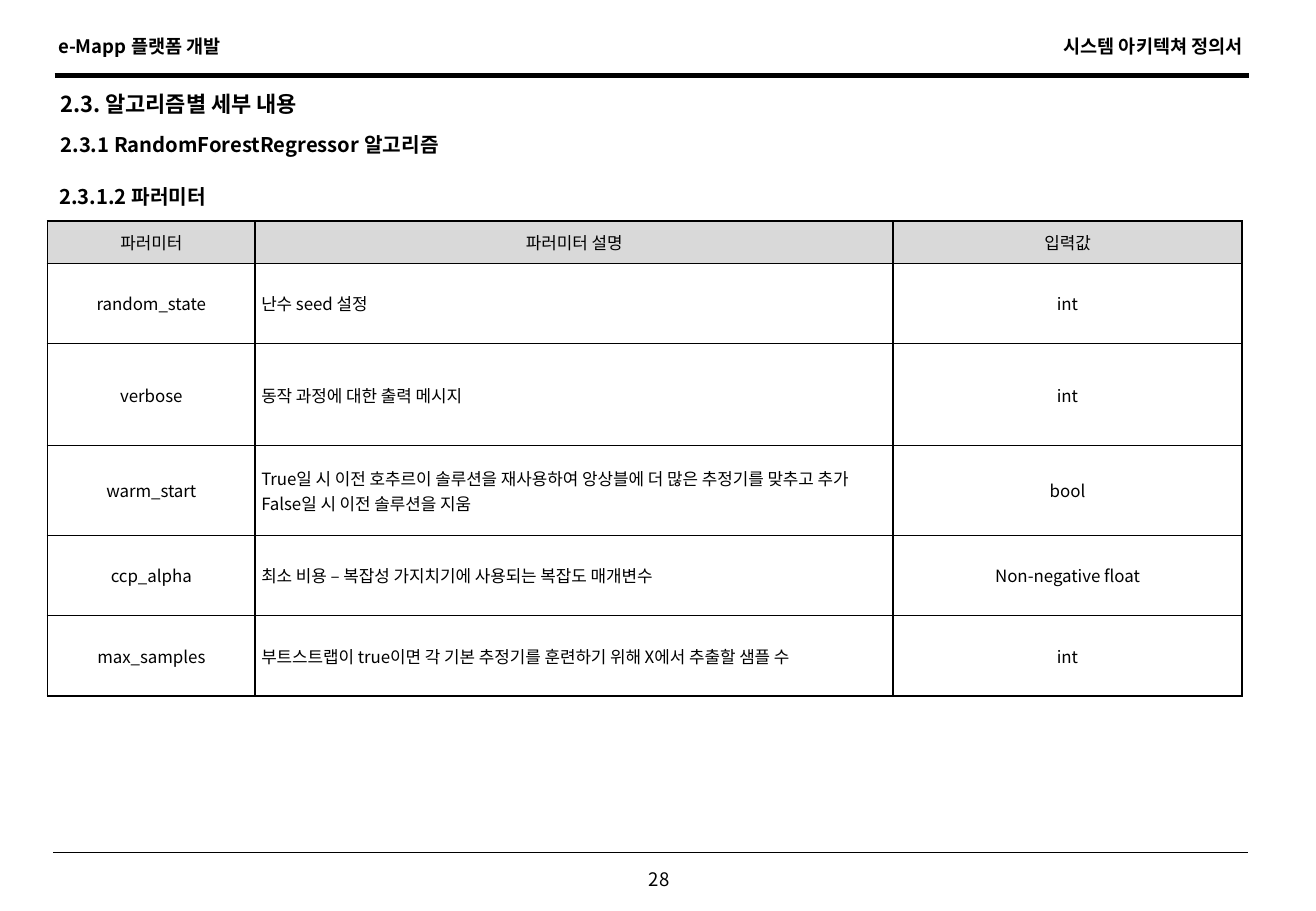
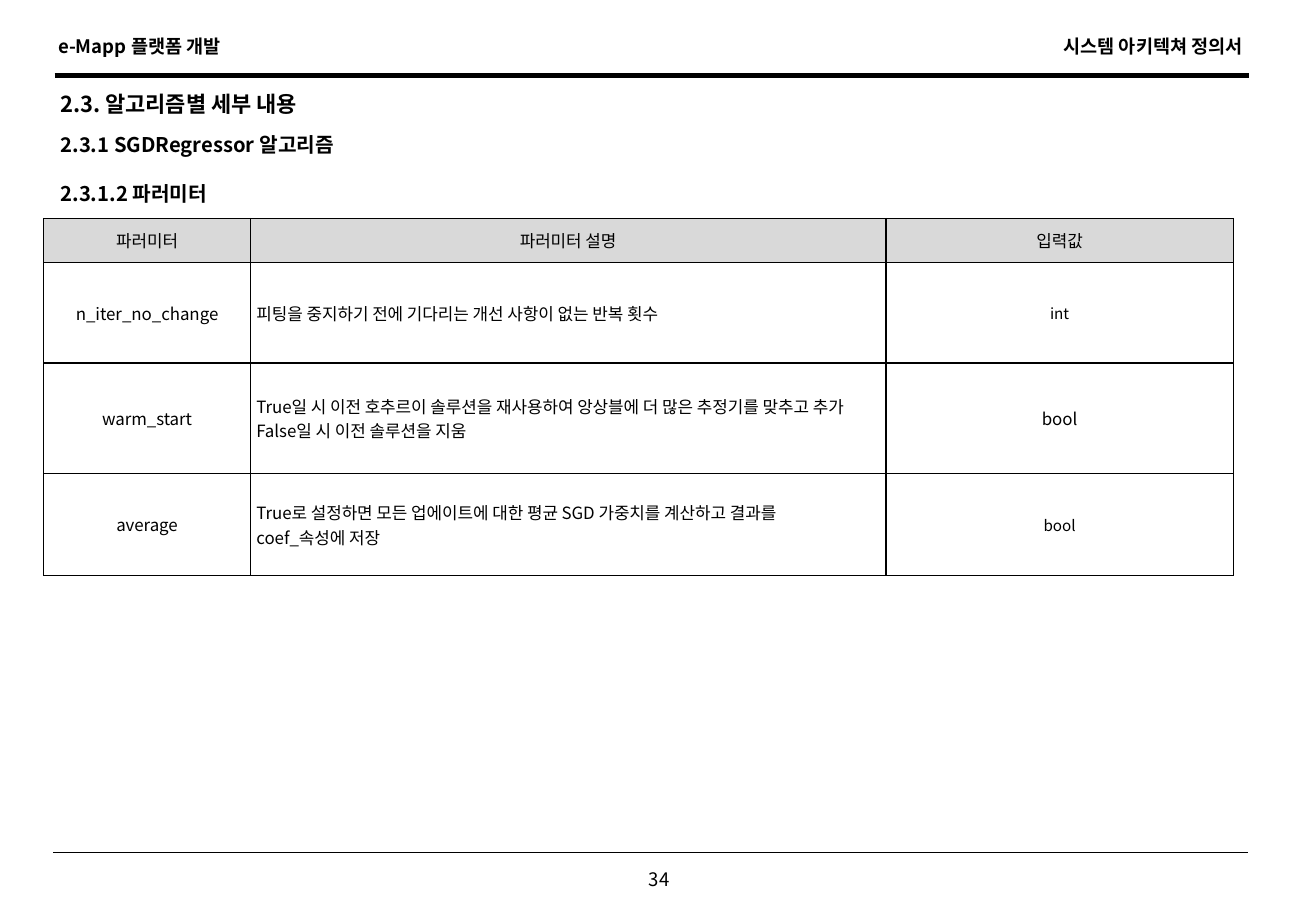
from lxml.etree import SubElement
from pptx import Presentation
from pptx.dml.color import RGBColor
from pptx.enum.shapes import MSO_CONNECTOR as Connector
from pptx.enum.text import MSO_ANCHOR as Anchor, PP_ALIGN as Align
from pptx.oxml.ns import qn
from pptx.util import Pt

PX = 9144
FONT = "Noto Sans CJK KR"
COLORS = {"ink": "000000", "header": "D9D9D9"}

PROJECT = "e-Mapp 플랫폼 개발"
DOCUMENT = "시스템 아키텍쳐 정의서"
SECTION = "2.3. 알고리즘별 세부 내용"
SUBSECTION = "2.3.1.2 파러미터"
HEADER = ("파러미터", "파러미터 설명", "입력값")
WARM_START = ("True일 시 이전 호추르이 솔루션을 재사용하여 앙상블에 더 많은 추정기를 맞추고 추가\n"
              "False일 시 이전 솔루션을 지움")

RULES = [(45, 62, 983, 2.75), (44, 702, 983, 0.75)]

PAGES = [
    {
        "number": "28",
        "algorithm": "2.3.1 RandomForestRegressor 알고리즘",
        "subsection_at": (39, 141),
        "table_at": (39, 182),
        "columns": (171, 525, 287),
        "heights": (35, 66, 84, 74, 66, 66),
        "small_cells": (),
        "rows": [
            ("random_state", "난수 seed 설정", "int"),
            ("verbose", "동작 과정에 대한 출력 메시지", "int"),
            ("warm_start", WARM_START, "bool"),
            ("ccp_alpha", "최소 비용 – 복잡성 가지치기에 사용되는 복잡도 매개변수",
             "Non-negative float"),
            ("max_samples",
             "부트스트랩이 true이면 각 기본 추정기를 훈련하기 위해 X에서 추출할 샘플 수", "int"),
        ],
    },
    {
        "number": "34",
        "algorithm": "2.3.1 SGDRegressor 알고리즘",
        "subsection_at": (40, 139),
        "table_at": (36, 180),
        "columns": (170, 523, 286),
        "heights": (36, 83, 91, 84),
        "small_cells": ((1, 2), (3, 2)),
        "rows": [
            ("n_iter_no_change",
             "피팅을 중지하기 전에 기다리는 개선 사항이 없는 반복 횟수", "int"),
            ("warm_start", WARM_START, "bool"),
            ("average",
             "True로 설정하면 모든 업에이트에 대한 평균 SGD 가중치를 계산하고 결과를\n"
             "coef_속성에 저장", "bool"),
        ],
    },
]


def color(name):
    return RGBColor.from_string(COLORS[name])


def write(frame, text, size, bold=False, align=Align.LEFT):
    for index, line in enumerate(text.split("\n")):
        para = frame.add_paragraph() if index else frame.paragraphs[0]
        para.alignment = align
        span = para.add_run()
        span.text = line
        span.font.size = Pt(size)
        span.font.bold = bold
        span.font.name = FONT
        span.font.color.rgb = color("ink")
        SubElement(span.font._element, qn("a:ea"), typeface=FONT)


def add_text(page, text, left, top, width, height, size, bold=True,
             align=Align.LEFT, wrap=False, anchor=Anchor.TOP):
    box = page.shapes.add_textbox(left * PX, top * PX, width * PX, height * PX)
    box.text_frame.word_wrap = wrap
    box.text_frame.vertical_anchor = anchor
    write(box.text_frame, text, size, bold, align)


def add_title(page, text, left, top, size=12):
    add_text(page, text, left, top, 975, 41, size, wrap=True, anchor=Anchor.MIDDLE)


def add_frame(page, number):
    add_text(page, number, 521, 710, 43, 29, 11, bold=False, align=Align.CENTER)
    for left, top, width, weight in RULES:
        rule = page.shapes.add_connector(
            Connector.STRAIGHT, left * PX, top * PX, (left + width) * PX, top * PX)
        rule.line.color.rgb = color("ink")
        rule.line.width = Pt(weight)
        SubElement(rule._element.spPr, qn("a:effectLst"))
    add_text(page, DOCUMENT, 848, 24, 185, 29, 11, align=Align.RIGHT)
    add_text(page, PROJECT, 38, 24, 170, 29, 11)


def add_borders(cell):
    properties = cell._tc.get_or_add_tcPr()
    for side in ("lnL", "lnR", "lnT", "lnB"):
        border = SubElement(properties, qn(f"a:{side}"), w=str(Pt(1)))
        fill = SubElement(border, qn("a:solidFill"))
        SubElement(fill, qn("a:srgbClr"), val=COLORS["ink"])


def fill_cell(cell, text, size, header, align):
    cell.margin_left = cell.margin_right = 5 * PX
    cell.margin_top = cell.margin_bottom = 3 * PX
    cell.vertical_anchor = Anchor.MIDDLE
    add_borders(cell)
    if header:
        cell.fill.solid()
        cell.fill.fore_color.rgb = color("header")
    else:
        cell.fill.background()
    write(cell.text_frame, text, size, align=align)


def add_parameters(page, content):
    left, top = content["table_at"]
    columns, heights = content["columns"], content["heights"]
    table = page.shapes.add_table(
        len(heights), len(columns), left * PX, top * PX,
        sum(columns) * PX, sum(heights) * PX).table
    for column, width in zip(table.columns, columns):
        column.width = width * PX
    for row, height in zip(table.rows, heights):
        row.height = height * PX
    for r, texts in enumerate([HEADER] + content["rows"]):
        for c, text in enumerate(texts):
            size = 9 if (r, c) in content["small_cells"] else 10
            align = Align.LEFT if r and c == 1 else Align.CENTER
            fill_cell(table.cell(r, c), text, size, r == 0, align)


def main():
    deck = Presentation()
    deck.slide_width, deck.slide_height = 1083 * PX, 750 * PX
    for content in PAGES:
        page = deck.slides.add_slide(deck.slide_layouts[6])
        add_frame(page, content["number"])
        add_title(page, SECTION, 40, 65, 13)
        add_title(page, content["algorithm"], 40, 98)
        add_title(page, SUBSECTION, *content["subsection_at"])
        add_parameters(page, content)
    deck.save("out.pptx")


if __name__ == "__main__":
    main()
